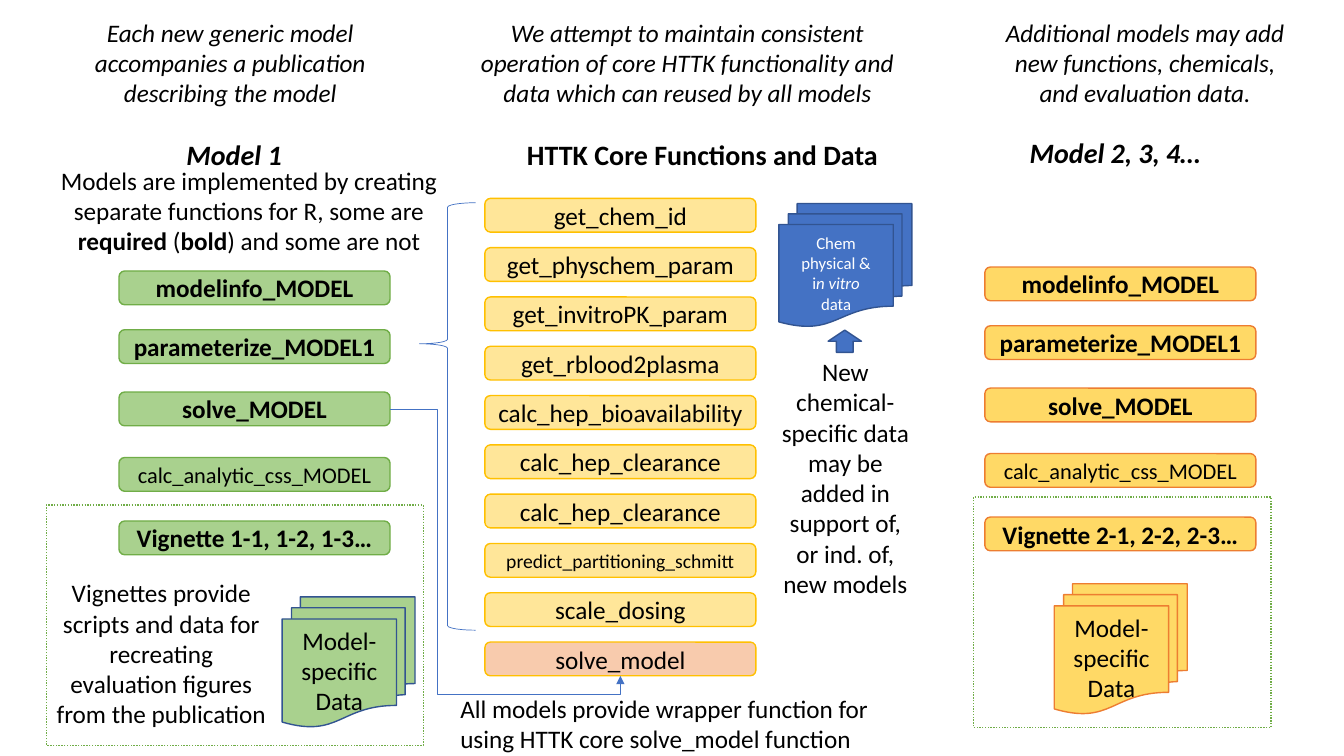
from dataclasses import dataclass

from lxml.etree import SubElement
from pptx import Presentation
from pptx.dml.color import RGBColor
from pptx.enum.dml import MSO_LINE
from pptx.enum.shapes import MSO_CONNECTOR, MSO_SHAPE
from pptx.enum.text import MSO_ANCHOR, MSO_AUTO_SIZE, PP_ALIGN
from pptx.oxml.ns import qn
from pptx.util import Cm, Pt


@dataclass(frozen=True)
class Theme:
    """Font, type sizes and colours of the slide."""
    font: str = "Calibri"
    heading: int = 20
    body: int = 18
    small: int = 16
    tiny: int = 14
    note: int = 12
    black: str = "000000"
    white: str = "FFFFFF"
    blue: str = "4472C4"
    navy: str = "325491"
    green: str = "A9D18E"
    dark_green: str = "70AD47"
    yellow: str = "FFD966"
    pale_yellow: str = "FFE699"
    gold: str = "FFC000"
    orange: str = "ED7D31"
    peach: str = "F8CBAD"


THEME = Theme()

# Text is a list of paragraphs; a paragraph is a list of (words, style) runs,
# where style holds "b" for bold and "i" for italic. Boxes are in centimetres.
CAPTIONS = [  # words, style, size, alignment, (left, top, width, height)
    ("Each new generic model accompanies a publication describing the model",
     "i", THEME.body, PP_ALIGN.CENTER, (1.17, 0.3, 9.27, 2.57)),
    ("We attempt to maintain consistent operation of core HTTK functionality "
     "and data which can reused by all models",
     "i", THEME.body, PP_ALIGN.CENTER, (11.66, 0.3, 11.33, 2.57)),
    ("Additional models may add new functions, chemicals, and evaluation data.",
     "i", THEME.body, PP_ALIGN.CENTER, (24.82, 0.3, 8.08, 2.57)),
    ("Model 1", "bi", THEME.heading, PP_ALIGN.LEFT, (4.45, 3.33, 3.2, 1.12)),
    ("HTTK Core Functions and Data", "b", THEME.heading, PP_ALIGN.LEFT,
     (13.03, 3.33, 9.45, 1.12)),
    ("Model 2, 3, 4…", "bi", THEME.heading, PP_ALIGN.LEFT,
     (25.7, 3.28, 5.13, 1.12)),
    ("Vignettes provide scripts and data for recreating evaluation figures "
     "from the publication",
     "", THEME.body, PP_ALIGN.CENTER, (1.17, 14.43, 5.79, 4.11)),
    ("New chemical-specific data may be added in support of, or ind. of, "
     "new models",
     "", THEME.body, PP_ALIGN.CENTER, (19.35, 8.86, 3.91, 6.4)),
    ("All models provide wrapper function for using HTTK core solve_model "
     "function",
     "", THEME.body, PP_ALIGN.LEFT, (11.35, 17.35, 11.05, 1.8)),
]
IMPLEMENTATION = [[
    ("Models are implemented by creating separate functions for R, some are ", ""),
    ("required", "b"), (" (", ""), ("bold", "b"), (") and some are not", "")]]
IMPLEMENTATION_BOX = (0.61, 4.04, 11.33, 2.67)

CORE_FUNCTIONS = [
    "get_chem_id", "get_physchem_param", "get_invitroPK_param",
    "get_rblood2plasma", "calc_hep_bioavailability", "calc_hep_clearance",
    "calc_hep_clearance", "predict_partitioning_schmitt", "scale_dosing",
    "solve_model"]
CORE_LEFT, CORE_FIRST_TOP, CORE_LAST_TOP = 12.22, 5.0, 16.18

CHEMICAL_DATA = [[("Chem", "")], [("physical &", "")],
                 [("i", ""), ("n vitro", "i")], [("data", "")]]
CHEMICAL_DATA_BOX = (19.63, 5.13, 3.35, 3.1)

MODEL_FUNCTIONS = [  # name, distance below the first one, style, size
    ("modelinfo_MODEL", 0, "b", THEME.body),
    ("parameterize_MODEL1", 1.48, "b", THEME.body),
    ("solve_MODEL", 3.05, "b", THEME.body),
    ("calc_analytic_css_MODEL", 4.7, "", THEME.small),
    ("Vignette {0}-1, {0}-2, {0}-3…", 6.3, "b", THEME.body),
]
MODELS = [
    dict(number=1, left=3.0, top=6.83, fill=THEME.green, edge=THEME.dark_green,
         data_edge=THEME.navy, data=(7.11, 15.04), frame=(1.17, 12.73, 9.5, 6.05)),
    dict(number=2, left=24.82, top=6.73, fill=THEME.yellow, edge=THEME.orange,
         data_edge=THEME.orange, data=(26.57, 14.71),
         frame=(24.54, 12.52, 7.49, 5.82)),
]
PILL_SIZE = (6.83, 0.85)
DATA_SIZE = (3.35, 3.28)
UP_ARROW_BOX = (20.87, 8.32, 0.84, 0.56)
BRACE_BOX = (10.57, 5.11, 1.42, 10.77)
BRACE_SHAPE = (0.08, 0.33)
BEND_SHAPE = {"adj1": 20600, "adj2": 107100}


def lengths(box):
    """Turn centimetres into slide lengths."""
    return [Cm(value) for value in box]


def write(shape, paragraphs, size, color=THEME.black, alignment=PP_ALIGN.CENTER):
    """Fill a shape with paragraphs of styled runs."""
    frame = shape.text_frame
    frame.word_wrap = True
    for index, runs in enumerate(paragraphs):
        paragraph = frame.add_paragraph() if index else frame.paragraphs[0]
        paragraph.alignment = alignment
        font = paragraph.font
        font.name, font.size = THEME.font, Pt(size)
        font.color.rgb = RGBColor.from_string(color)
        for words, style in runs:
            run = paragraph.add_run()
            run.text = words
            run.font.bold, run.font.italic = "b" in style, "i" in style


def add_text(shapes, paragraphs, size, alignment, box):
    """Add a wrapped text box that grows with its text."""
    text_box = shapes.add_textbox(*lengths(box))
    write(text_box, paragraphs, size, alignment=alignment)
    text_box.text_frame.auto_size = MSO_AUTO_SIZE.SHAPE_TO_FIT_TEXT


def add_figure(shapes, kind, box, fill, edge, width=1):
    """Add a preset shape, unfilled when fill is None."""
    shape = shapes.add_shape(kind, *lengths(box))
    shape.shadow.inherit = False
    if fill:
        shape.fill.solid()
        shape.fill.fore_color.rgb = RGBColor.from_string(fill)
    else:
        shape.fill.background()
    shape.line.color.rgb = RGBColor.from_string(edge)
    shape.line.width = Pt(width)
    shape.text_frame.vertical_anchor = MSO_ANCHOR.MIDDLE
    return shape


def add_pill(shapes, name, left, top, fill, edge, style="", size=THEME.body):
    """Add one rounded box that names a function."""
    pill = add_figure(shapes, MSO_SHAPE.ROUNDED_RECTANGLE,
                      (left, top, *PILL_SIZE), fill, edge)
    write(pill, [[(name, style)]], size)
    return pill


def add_core(shapes):
    """Add the evenly spaced core functions and return their boxes."""
    pitch = (CORE_LAST_TOP - CORE_FIRST_TOP) / (len(CORE_FUNCTIONS) - 1)
    pills = {}
    for index, name in enumerate(CORE_FUNCTIONS):
        fill = THEME.peach if name == "solve_model" else THEME.pale_yellow
        size = THEME.tiny if len(name) > 25 else THEME.body
        pills[name] = add_pill(shapes, name, CORE_LEFT,
                               CORE_FIRST_TOP + index * pitch,
                               fill, THEME.gold, size=size)
    return pills


def add_model(shapes, model):
    """Add one model's functions, data and frame; return its function boxes."""
    pills = {}
    for name, drop, style, size in MODEL_FUNCTIONS:
        pills[name] = add_pill(shapes, name.format(model["number"]), model["left"],
                               model["top"] + drop, model["fill"], model["edge"],
                               style, size)
    data = add_figure(shapes, MSO_SHAPE.FLOWCHART_MULTIDOCUMENT,
                      (*model["data"], *DATA_SIZE), model["fill"],
                      model["data_edge"])
    write(data, [[("Model-specific Data", "")]], THEME.body)
    frame = add_figure(shapes, MSO_SHAPE.RECTANGLE, model["frame"], None,
                       THEME.dark_green)
    frame.line.dash_style = MSO_LINE.ROUND_DOT
    return pills


def add_bent_arrow(shapes, source, target):
    """Lead from the right of source to the bottom of target."""
    arrow = shapes.add_connector(MSO_CONNECTOR.ELBOW, 0, 0, 0, 0)
    arrow.begin_connect(source, 3)
    arrow.end_connect(target, 2)
    arrow.line.color.rgb = RGBColor.from_string(THEME.blue)
    arrow.line.width = Pt(0.5)
    properties = arrow.element.spPr
    geometry = properties.find(qn("a:prstGeom"))
    geometry.set("prst", "bentConnector4")
    guides = geometry.find(qn("a:avLst"))
    for name, value in BEND_SHAPE.items():
        SubElement(guides, qn("a:gd"), name=name, fmla=f"val {value}")
    SubElement(properties.find(qn("a:ln")), qn("a:tailEnd"), type="triangle")
    SubElement(properties, qn("a:effectLst"))


presentation = Presentation()
presentation.slide_width, presentation.slide_height = Cm(33.87), Cm(19.05)
slide = presentation.slides.add_slide(presentation.slide_layouts[6])
shapes = slide.shapes

chemical_data = add_figure(shapes, MSO_SHAPE.FLOWCHART_MULTIDOCUMENT,
                           CHEMICAL_DATA_BOX, THEME.blue, THEME.navy)
write(chemical_data, CHEMICAL_DATA, THEME.note, THEME.white)
core_pills = add_core(shapes.add_group_shape().shapes)
model_pills = [add_model(shapes.add_group_shape().shapes, model) for model in MODELS]
for words, style, size, alignment, box in CAPTIONS:
    add_text(shapes, [[(words, style)]], size, alignment, box)
add_text(shapes, IMPLEMENTATION, THEME.body, PP_ALIGN.CENTER, IMPLEMENTATION_BOX)
add_figure(shapes, MSO_SHAPE.UP_ARROW, UP_ARROW_BOX, THEME.blue, THEME.navy)
brace = add_figure(shapes, MSO_SHAPE.LEFT_BRACE, BRACE_BOX, None, THEME.blue, 0.5)
brace.adjustments[0], brace.adjustments[1] = BRACE_SHAPE
add_bent_arrow(shapes, model_pills[0]["solve_MODEL"], core_pills["solve_model"])

presentation.save("out.pptx")
